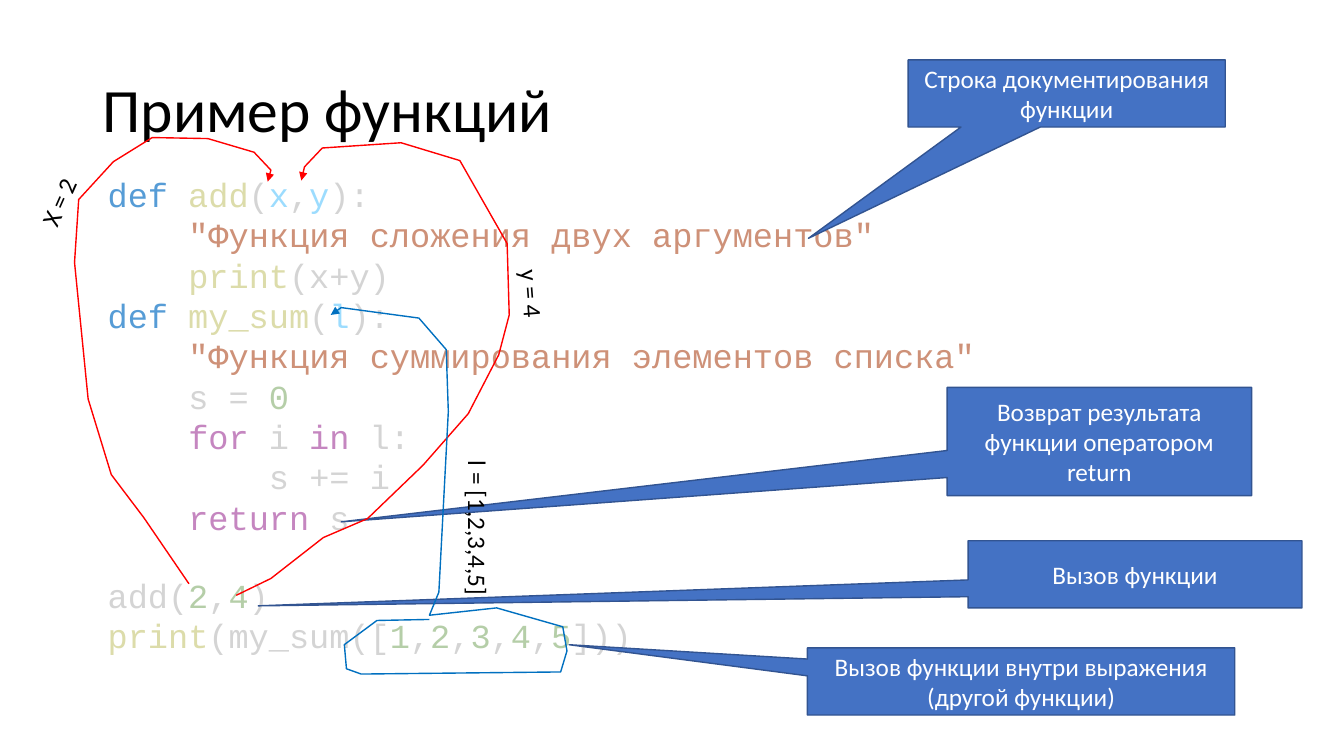
from dataclasses import dataclass

from lxml.etree import SubElement
from pptx import Presentation
from pptx.dml.color import RGBColor
from pptx.enum.shapes import MSO_SHAPE
from pptx.enum.text import MSO_ANCHOR, MSO_AUTO_SIZE, PP_ALIGN
from pptx.oxml.ns import qn
from pptx.util import Pt

PX = 9525  # EMU per px, 96 px to the inch


@dataclass(frozen=True)
class Theme:
    text_font: str = "Calibri"
    code_font: str = "Courier New"
    title_size: int = 44
    code_size: int = 24
    note_size: int = 18
    black: str = "000000"
    white: str = "FFFFFF"
    callout_fill: str = "4472C4"
    callout_line: str = "325491"
    red: str = "FF0000"
    blue: str = "0070C0"
    plain: str = "D4D4D4"
    define: str = "569CD6"
    function: str = "DCDCAA"
    param: str = "9CDCFE"
    string: str = "CE9178"
    number: str = "B5CEA8"
    control: str = "C586C0"


T = Theme()

TITLE = "Пример функций"
TITLE_BOX = (88, 38, 1104, 139)
CODE_BOX = (93, 161, 1006, 475)
CALL_LINE = 9  # first line after the definitions, set off by one line
CODE = [
    [("def ", T.define), ("add", T.function), ("(", T.plain), ("x", T.param),
     (",", T.plain), ("y", T.param), ("):", T.plain)],
    [('    "Функция сложения двух аргументов"', T.string)],
    [("    print", T.function), ("(x+y)", T.plain)],
    [("def ", T.define), ("my_sum", T.function), ("(", T.plain),
     ("l", T.param), ("):", T.plain)],
    [('    "Функция суммирования элементов списка"', T.string)],
    [("    s = ", T.plain), ("0", T.number)],
    [("    for ", T.control), ("i ", T.plain), ("in", T.control), (" l:", T.plain)],
    [("        s += i", T.plain)],
    [("    return", T.control), (" s", T.plain)],
    [("add(", T.plain), ("2", T.number), (",", T.plain), ("4", T.number),
     (")", T.plain)],
    [("print", T.function), ("(my_sum([", T.plain), ("1", T.number), (",", T.plain),
     ("2", T.number), (",", T.plain), ("3", T.number), (",", T.plain),
     ("4", T.number), (",", T.plain), ("5", T.number), ("]))", T.plain)],
]

# text, box, point the tail reaches
CALLOUTS = [
    ("Строка документирования функции", (865, 57, 302, 64), (770, 227)),
    ("Возврат результата функции оператором return", (902, 369, 290, 103), (325, 497)),
    ("Вызов функции", (922, 515, 318, 64), (246, 577)),
    ("Вызов функции внутри выражения (другой функции)", (769, 617, 407, 64), (542, 614)),
]

# label, box, rotation, arrow colour, arrow points
ARGUMENTS = [
    ("X = 2", (22, 173, 67, 38), 294, T.red, [
        (180, 556), (137, 493), (106, 452), (84, 380), (71, 250), (75, 190),
        (108, 154), (145, 131), (198, 132), (242, 145), (258, 162), (255, 173)]),
    ("y = 4", (474, 261, 66, 38), 85.5, T.red, [
        (225, 567), (258, 551), (308, 512), (350, 494), (403, 443), (446, 394),
        (475, 338), (485, 300), (483, 232), (438, 153), (382, 136), (307, 141),
        (290, 159), (287, 172)]),
    ("l = [1,2,3,4,5]", (381, 485, 149, 38), 90, T.blue, [
        (409, 590), (359, 591), (328, 614), (330, 637), (344, 642), (534, 640),
        (540, 620), (536, 597), (473, 579), (409, 586), (418, 564), (427, 392),
        (425, 333), (399, 303), (325, 293), (315, 300)]),
]


def emu(box):
    return [v * PX for v in box]


def style(font, size, color, name=T.text_font):
    font.name, font.size = name, Pt(size)
    font.color.rgb = RGBColor.from_string(color)


def add_title(slide):
    sp = slide.shapes.title
    sp.left, sp.top, sp.width, sp.height = emu(TITLE_BOX)
    tf = sp.text_frame
    tf.text = TITLE
    tf.vertical_anchor = MSO_ANCHOR.MIDDLE
    tf.auto_size = MSO_AUTO_SIZE.NONE
    p = tf.paragraphs[0]
    p.alignment, p.line_spacing = PP_ALIGN.LEFT, 0.9
    style(p.font, T.title_size, T.black)


def add_code(slide):
    tf = slide.shapes.add_textbox(*emu(CODE_BOX)).text_frame
    tf.word_wrap = True
    for i, tokens in enumerate(CODE):
        p = tf.add_paragraph() if i else tf.paragraphs[0]
        if i == CALL_LINE:
            p.space_before = Pt(27)
        for text, color in tokens:
            r = p.add_run()
            r.text = text
            style(r.font, T.code_size, color, T.code_font)


def add_callout(slide, text, box, tip):
    left, top, width, height = box
    sp = slide.shapes.add_shape(MSO_SHAPE.RECTANGULAR_CALLOUT, *emu(box))
    sp.adjustments[0] = (tip[0] - left) / width - 0.5
    sp.adjustments[1] = (tip[1] - top) / height - 0.5
    sp.shadow.inherit = False
    sp.fill.solid()
    sp.fill.fore_color.rgb = RGBColor.from_string(T.callout_fill)
    sp.line.color.rgb = RGBColor.from_string(T.callout_line)
    sp.line.width = Pt(1)
    tf = sp.text_frame
    tf.text, tf.word_wrap = text, True
    tf.vertical_anchor = MSO_ANCHOR.MIDDLE
    p = tf.paragraphs[0]
    p.alignment = PP_ALIGN.CENTER
    style(p.font, T.note_size, T.white)


def add_label(slide, text, box, rotation):
    sp = slide.shapes.add_textbox(*emu(box))
    sp.rotation = rotation
    tf = sp.text_frame
    tf.text, tf.word_wrap = text, False
    style(tf.paragraphs[0].font, T.note_size, T.black)


def add_arrow(slide, color, points):
    builder = slide.shapes.build_freeform(*points[0], scale=PX)
    builder.add_line_segments(points[1:], close=False)
    sp = builder.convert_to_shape()
    sp.shadow.inherit = False
    sp.fill.background()
    sp.line.color.rgb = RGBColor.from_string(color)
    sp.line.width = Pt(1)
    line = sp.element.spPr.find(qn("a:ln"))
    SubElement(line, qn("a:tailEnd"), type="triangle")


def main():
    prs = Presentation()
    prs.slide_width, prs.slide_height = emu((1280, 720))
    slide = prs.slides.add_slide(prs.slide_layouts[5])
    add_title(slide)
    add_code(slide)
    for callout in CALLOUTS:
        add_callout(slide, *callout)
    for text, box, rotation, color, points in ARGUMENTS:
        add_label(slide, text, box, rotation)
        add_arrow(slide, color, points)
    prs.save("out.pptx")


if __name__ == "__main__":
    main()
